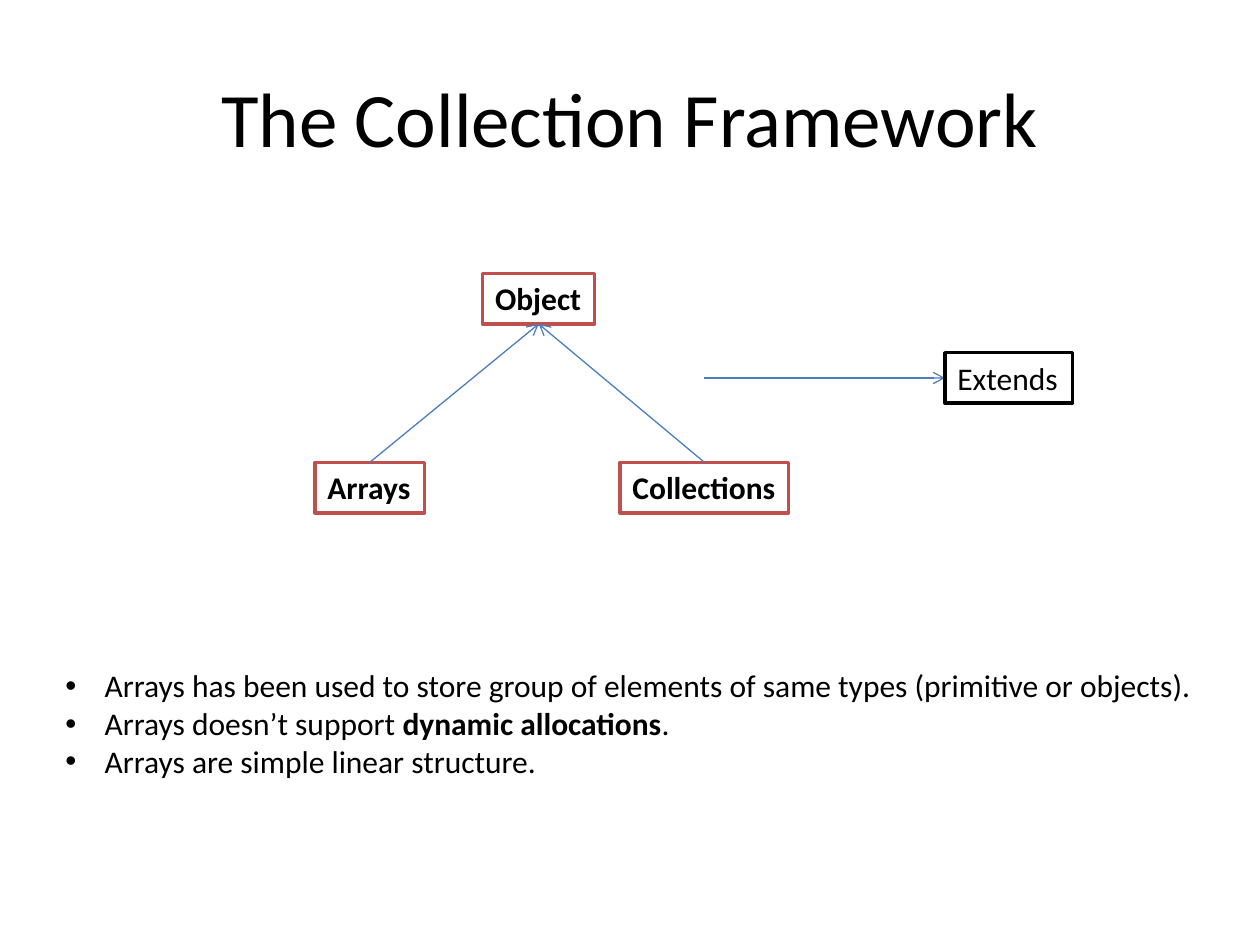
from lxml import etree
from pptx import Presentation, util as u
from pptx.dml.color import RGBColor
from pptx.enum import shapes as sh, text as tx
from pptx.oxml import ns

BLACK = RGBColor(0x00, 0x00, 0x00)
WHITE = RGBColor(0xFF, 0xFF, 0xFF)
RED = RGBColor(0xC0, 0x50, 0x4D)
BLUE = RGBColor(0x4B, 0x7E, 0xBC)

BASE = {"name": "Calibri", "size": u.Pt(18), "bold": False}
BOLD = {**BASE, "bold": True}
HEAD = {**BASE, "size": u.Pt(44)}
HIGH = 1.02  # height of a node


def style(obj, form):
    for key, val in form.items():
        setattr(obj, key, val)


def write(para, words, form):
    run = para.add_run()
    run.text = words
    style(run.font, form)
    run.font.color.rgb = BLACK


def frame(slide, box, form):
    area = slide.shapes.add_textbox(*map(u.Cm, box)).text_frame
    style(area, form)
    return area


def title(slide, box, words):
    area = frame(slide, box, {"word_wrap": True,
                              "vertical_anchor": tx.MSO_ANCHOR.MIDDLE})
    para = area.paragraphs[0]
    para.alignment = tx.PP_ALIGN.CENTER
    write(para, words, HEAD)


def node(slide, left, top, width, words, edge, form):
    box = slide.shapes.add_shape(sh.MSO_SHAPE.RECTANGLE,
                                 *map(u.Cm, (left, top, width, HIGH)))
    box.shadow.inherit = False
    box.fill.solid()
    box.fill.fore_color.rgb = WHITE
    box.line.color.rgb = edge
    box.line.width = u.Pt(2)
    style(box.text_frame, {"word_wrap": False,
                           "vertical_anchor": tx.MSO_ANCHOR.TOP,
                           "auto_size": tx.MSO_AUTO_SIZE.SHAPE_TO_FIT_TEXT})
    para = box.text_frame.paragraphs[0]
    para.alignment = tx.PP_ALIGN.LEFT
    write(para, words, form)
    return box


def arrow(slide, start, end):
    line = slide.shapes.add_connector(sh.MSO_CONNECTOR.STRAIGHT,
                                      *map(u.Cm, start + end))
    line.line.color.rgb = BLUE
    line.line.width = u.Pt(0.75)
    tip = etree.SubElement(line.line._get_or_add_ln(), ns.qn("a:tailEnd"))
    tip.set("type", "arrow")
    etree.SubElement(line._element.spPr, ns.qn("a:effectLst"))
    return line


def tree(slide, left, top):
    # Parent on top, children one row below
    row = top + 3.81
    root = (left + 3.38, 2.26)
    kids = [("Arrays", left, 2.21), ("Collections", left + 6.15, 3.4)]
    node(slide, root[0], top, root[1], "Object", RED, BOLD)
    peak = (root[0] + root[1] / 2, top + HIGH)
    for words, x, width in kids:
        node(slide, x, row, width, words, RED, BOLD)
        arrow(slide, (x + width / 2, row), peak)


def legend(slide, left, top, reach):
    # Meaning of the arrow
    mid = top + HIGH / 2
    arrow(slide, (left, mid), (left + reach, mid))
    node(slide, left + reach, top, 2.57, "Extends", BLACK, BASE)


def points(slide, box, items):
    area = frame(slide, box, {"word_wrap": False,
                              "auto_size": tx.MSO_AUTO_SIZE.SHAPE_TO_FIT_TEXT})
    for i, parts in enumerate(items):
        para = area.add_paragraph() if i else area.paragraphs[0]
        para.alignment = tx.PP_ALIGN.LEFT
        props = para._p.get_or_add_pPr()
        props.set("marL", str(u.Cm(0.79)))
        props.set("indent", str(-u.Cm(0.79)))
        etree.SubElement(props, ns.qn("a:buFont")).set("typeface", "Arial")
        etree.SubElement(props, ns.qn("a:buChar")).set("char", "•")
        for words, form in parts:
            write(para, words, form)


deck = Presentation()
deck.slide_width, deck.slide_height = u.Cm(25.4), u.Cm(19.05)
page = deck.slides.add_slide(deck.slide_layouts[6])

title(page, (1.27, 0.76, 22.86, 3.18), "The Collection Framework")
tree(page, 6.35, 5.51)
legend(page, 14.2, 7.11, 4.85)
points(page, (1.07, 13.31, 23.47, 2.57), [
    [("Arrays has been used to store group of elements of same types "
      "(primitive or objects).", BASE)],
    [("Arrays doesn’t support ", BASE), ("dynamic allocations", BOLD),
     (".", BASE)],
    [("Arrays are simple linear structure.", BASE)],
])
deck.save("out.pptx")
